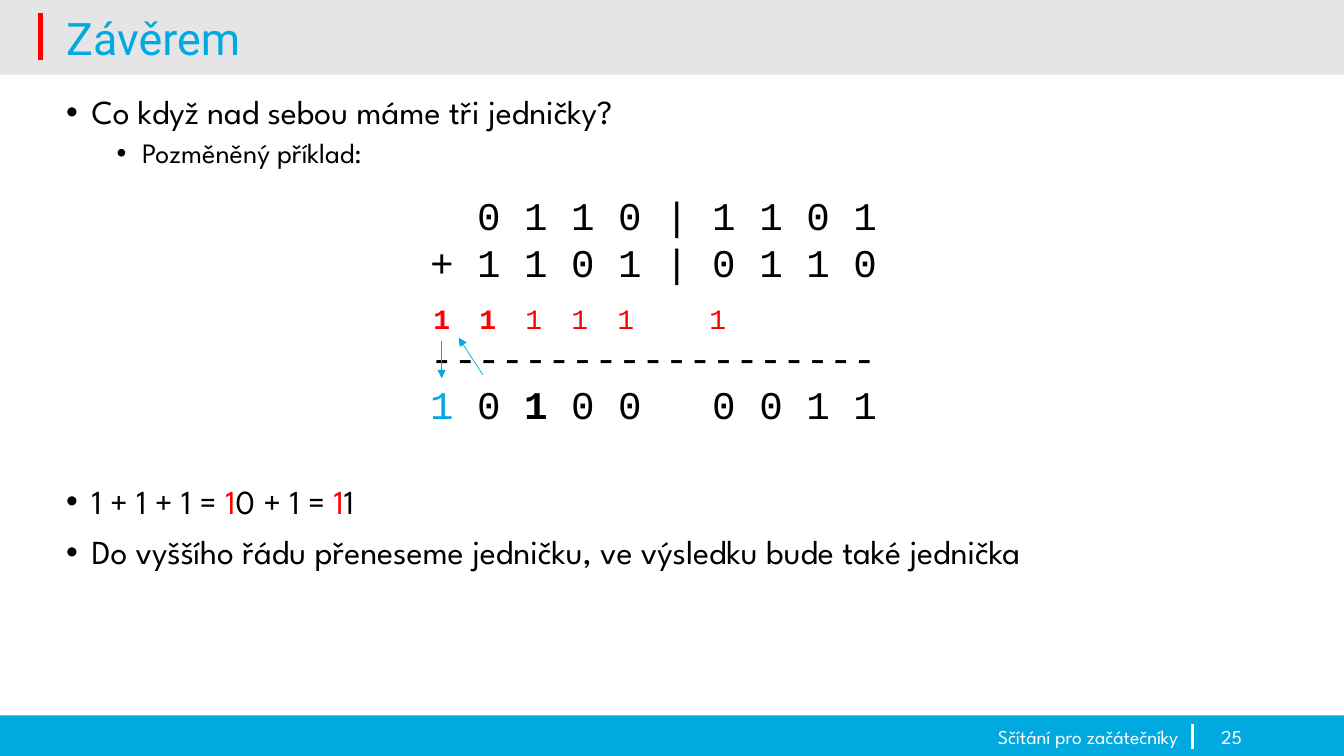
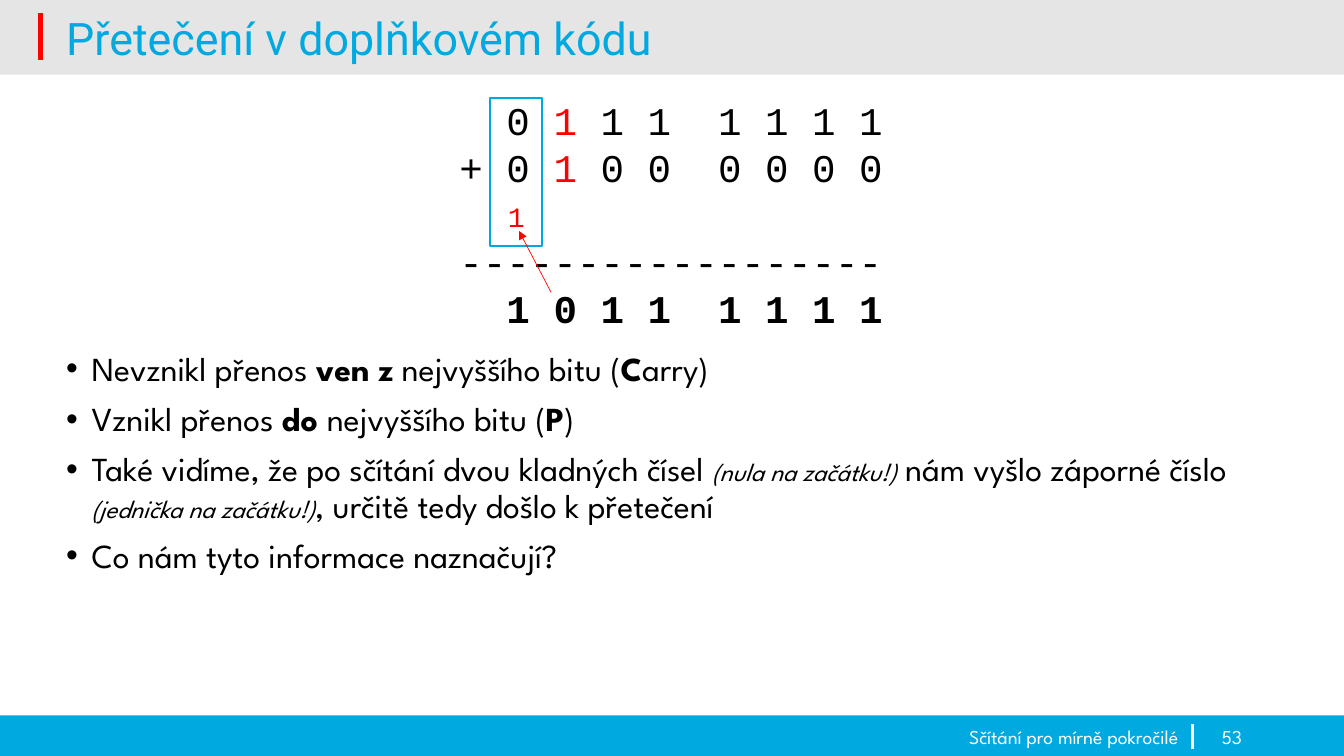
from lxml.etree import SubElement
from pptx import Presentation
from pptx.dml.color import RGBColor
from pptx.enum.shapes import MSO_CONNECTOR, MSO_SHAPE
from pptx.enum.text import MSO_ANCHOR, PP_ALIGN
from pptx.oxml.ns import qn
from pptx.util import Cm, Pt

BLUE = RGBColor(0x00, 0xA9, 0xE0)
RED = RGBColor(0xFF, 0x00, 0x00)
GRAY = RGBColor(0xE5, 0xE5, 0xE5)
WHITE = RGBColor(0xFF, 0xFF, 0xFF)
BLACK = RGBColor(0x00, 0x00, 0x00)

TITLE_FONT, BODY_FONT, CODE_FONT = "Roboto", "League Spartan", "Courier New"
SLIDE_WIDTH, SLIDE_HEIGHT = 33.87, 19.05
BODY_LEFT, BODY_WIDTH = 1.42, 30.94
DIGIT_PITCH, CARRY_PITCH = 1.185, 1.16
ROW_HEIGHT = Pt(33.7)

BOLD = {"bold": True}
ASIDE = {"italic": True, "size": Pt(18)}
IN_RED = {"color": RED}
IN_BLUE = {"color": BLUE}

SLIDES = [
    {
        "title": "Závěrem",
        "footer": "Sčítání pro začátečníky",
        "number": "25",
        "bullets": [
            (2.29, 2.2, [
                (0, ["Co když nad sebou máme tři jedničky?"]),
                (1, ["Pozměněný příklad:"]),
            ]),
            (12.1, 3, [
                (0, ["1 + 1 + 1 = ", ("1", IN_RED), "0 + 1 = ", ("1", IN_RED), "1"]),
                (0, ["Do vyššího řádu přeneseme jedničku, ve výsledku bude také jednička"]),
            ]),
        ],
        "sum": {
            "at": (10.59, 4.7),
            "columns": [1, 2, 3, 4, 5, 6, 7, 8, 9],
            "rows": [
                ["\t0\t1\t1\t0\t|\t1\t1\t0\t1"],
                ["+\t1\t1\t0\t1\t|\t0\t1\t1\t0"],
                ["-" * 19],
                [("1", IN_BLUE), "\t0\t", ("1", BOLD), "\t0\t0\t\t0\t0\t1\t1"],
            ],
        },
        "carries": {
            "at": (10.67, 7.47),
            "columns": [(0, True), (1, True), (2, False), (3, False), (4, False), (6, False)],
        },
        "arrows": [
            ((11.13, 8.59), (11.13, 9.53), BLUE),
            ((12.17, 9.45), (11.56, 8.51), BLUE),
        ],
    },
    {
        "title": "Přetečení v doplňkovém kódu",
        "footer": "Sčítání pro mírně pokročilé",
        "number": "53",
        "bullets": [
            (8.75, 6.2, [
                (0, ["Nevznikl přenos ", ("ven z", BOLD), " nejvyššího bitu (", ("C", BOLD), "arry)"]),
                (0, ["Vznikl přenos ", ("do ", BOLD), "nejvyššího bitu (", ("P", BOLD), ")"]),
                (0, ["Také vidíme, že po sčítání dvou kladných čísel ",
                     ("(nula na začátku!)", ASIDE), " nám vyšlo záporné číslo ",
                     ("(jednička na začátku!)", ASIDE), ", určitě tedy došlo k přetečení"]),
                (0, ["Co nám tyto informace naznačují?"]),
            ]),
        ],
        "sum": {
            "at": (11.33, 2.29),
            "columns": [1, 2, 3, 4, 5.5, 6.5, 7.5, 8.5],
            "rows": [
                ["\t0\t", ("1", IN_RED), "\t1\t1\t1\t1\t1\t1"],
                ["+\t0\t", ("1", IN_RED), "\t0\t0\t0\t0\t0\t0"],
                ["-" * 18],
                [("\t1\t0\t1\t1\t1\t1\t1\t1", BOLD)],
            ],
        },
        "frame": (12.34, 2.46, 1.32, 3.73),
        "carries": {"at": (12.55, 4.9), "columns": [(0, False)]},
        "arrows": [((13.89, 7.37), (13.08, 5.82), RED)],
    },
]


def style_font(font, name, size, color):
    font.name = name
    font.size = Pt(size)
    font.color.rgb = color


def add_runs(paragraph, parts):
    for part in parts:
        text, style = part if isinstance(part, tuple) else (part, {})
        run = paragraph.add_run()
        run.text = text
        for key, value in style.items():
            if key == "color":
                run.font.color.rgb = value
            else:
                setattr(run.font, key, value)


def add_frame(slide, left, top, width, height):
    box = slide.shapes.add_textbox(Cm(left), Cm(top), Cm(width), Cm(height))
    box.text_frame.word_wrap = True
    return box.text_frame


def add_paragraphs(frame, items):
    for index, item in enumerate(items):
        yield (frame.add_paragraph() if index else frame.paragraphs[0]), item


def add_label(slide, text, place, font, align=PP_ALIGN.LEFT, anchor=MSO_ANCHOR.MIDDLE):
    frame = add_frame(slide, *place)
    frame.vertical_anchor = anchor
    paragraph = frame.paragraphs[0]
    paragraph.alignment = align
    style_font(paragraph.font, *font)
    add_runs(paragraph, [text])
    return paragraph


def add_rectangle(slide, place, fill=None, outline=None):
    shape = slide.shapes.add_shape(MSO_SHAPE.RECTANGLE, *map(Cm, place))
    shape.shadow.inherit = False
    if fill is None:
        shape.fill.background()
    else:
        shape.fill.solid()
        shape.fill.fore_color.rgb = fill
    if outline is None:
        shape.line.fill.background()
    else:
        shape.line.color.rgb = outline
        shape.line.width = Pt(1.5)


def add_line(slide, start, end, color, width, arrow=False):
    line = slide.shapes.add_connector(MSO_CONNECTOR.STRAIGHT, *map(Cm, start + end))
    line.line.color.rgb = color
    line.line.width = Pt(width)
    if arrow:
        SubElement(line.line._get_or_add_ln(), qn("a:tailEnd"), type="triangle")
    SubElement(line._element.spPr, qn("a:effectLst"))


def add_decor(slide, content):
    add_rectangle(slide, (0, 18.03, SLIDE_WIDTH, 1.02), BLUE)
    add_line(slide, (30.05, 18.87), (30.05, 18.24), WHITE, 2.25)
    add_rectangle(slide, (0, 0, SLIDE_WIDTH, 1.88), GRAY)
    add_line(slide, (1.02, 0.33), (1.02, 1.52), RED, 3)
    title = add_label(slide, content["title"], (BODY_LEFT, 0.18, 32.44, 1.7), (TITLE_FONT, 32, BLUE))
    title.line_spacing = 0.9
    for key, left, width in (("footer", 2.34, 27.61), ("number", 30.28, 1.27)):
        add_label(slide, content[key], (left, 18.24, width, 0.64),
                  (BODY_FONT, 14, WHITE), PP_ALIGN.RIGHT)


def add_bullets(slide, top, height, items):
    frame = add_frame(slide, BODY_LEFT, top, BODY_WIDTH, height)
    for paragraph, (level, parts) in add_paragraphs(frame, items):
        properties = paragraph._p.get_or_add_pPr()
        properties.set("marL", str(Cm(0.64 + 1.27 * level)))
        properties.set("indent", str(Cm(-0.64)))
        SubElement(properties, qn("a:buFont"), typeface="Arial")
        SubElement(properties, qn("a:buChar"), char="•")
        paragraph.level = level
        paragraph.line_spacing = 0.9
        paragraph.space_before = Pt(5 if level else 10)
        style_font(paragraph.font, BODY_FONT, 20 if level else 24, BLACK)
        add_runs(paragraph, parts)


def add_sum(slide, content):
    frame = add_frame(slide, *content["at"], 12.6, 6.25)
    for paragraph, parts in add_paragraphs(frame, content["rows"]):
        tabs = SubElement(paragraph._p.get_or_add_pPr(), qn("a:tabLst"))
        for column in content["columns"]:
            SubElement(tabs, qn("a:tab"), pos=str(Cm(column * DIGIT_PITCH)), algn="l")
        paragraph.line_spacing = ROW_HEIGHT
        if parts[0].startswith("-") if isinstance(parts[0], str) else False:
            paragraph.space_before = ROW_HEIGHT
        style_font(paragraph.font, CODE_FONT, 28, BLACK)
        add_runs(paragraph, parts)


def add_carries(slide, content):
    left, top = content["at"]
    for column, bold in content["columns"]:
        carry = add_label(slide, "1", (left + column * CARRY_PITCH, top, 1.04, 1.12),
                          (CODE_FONT, 20, RED), anchor=MSO_ANCHOR.TOP)
        carry.font.bold = bold


def build_slide(presentation, content):
    slide = presentation.slides.add_slide(presentation.slide_layouts[6])
    add_decor(slide, content)
    for top, height, items in content["bullets"]:
        add_bullets(slide, top, height, items)
    add_sum(slide, content["sum"])
    if "frame" in content:
        add_rectangle(slide, content["frame"], outline=BLUE)
    add_carries(slide, content["carries"])
    for start, end, color in content["arrows"]:
        add_line(slide, start, end, color, 0.5, arrow=True)


def main():
    presentation = Presentation()
    presentation.slide_width = Cm(SLIDE_WIDTH)
    presentation.slide_height = Cm(SLIDE_HEIGHT)
    for content in SLIDES:
        build_slide(presentation, content)
    presentation.save("out.pptx")


if __name__ == "__main__":
    main()
